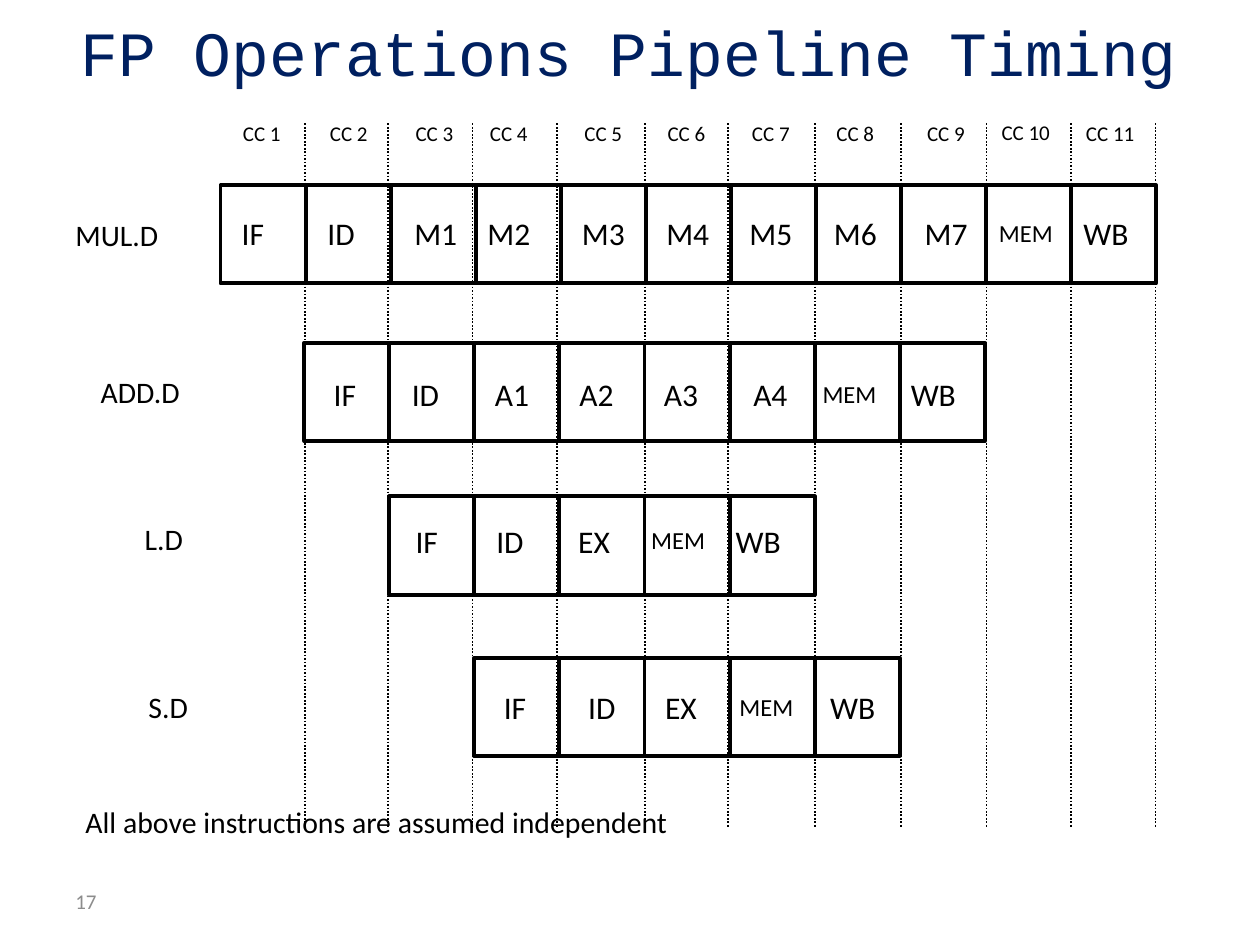
from lxml import etree
from pptx import Presentation
from pptx.dml.color import RGBColor
from pptx.enum import dml, shapes, text
from pptx.oxml import ns
from pptx.util import Inches, Pt

COLORS = {"ink": "000000", "title": "002060", "number": "8C8C8C"}
COLUMN, ROW_HEIGHT = 0.675, 0.78
FIRST_COLUMN = 1.75

deck = Presentation()
deck.slide_width, deck.slide_height = Inches(10), Inches(7.5)
page = deck.slides.add_slide(deck.slide_layouts[6])


def add_text(words, left, top, width, height, size, color="ink", font="Calibri", **frame_format):
    box = page.shapes.add_textbox(*map(Inches, (left, top, width, height)))
    frame_format = {"word_wrap": False, "vertical_anchor": text.MSO_ANCHOR.TOP} | frame_format
    for name, value in frame_format.items():
        setattr(box.text_frame, name, value)
    para = box.text_frame.paragraphs[0]
    span = para.add_run()
    span.text = words
    for name, value in {"size": Pt(size), "name": font}.items():
        setattr(span.font, name, value)
    span.font.color.rgb = RGBColor.from_string(COLORS[color])
    return para


# Page number, title and footnote
middle = {"vertical_anchor": text.MSO_ANCHOR.MIDDLE, "word_wrap": True}
add_text("17", 0.5, 6.95, 2.33, 0.4, 12, "number", **middle)
title = add_text("FP Operations Pipeline Timing", 0.31, 0.17, 9.36, 0.47, 36,
                 "title", "Courier New", **middle)
title.alignment = text.PP_ALIGN.CENTER
add_text("All above instructions are assumed independent", 0.58, 6.33, 5.02, 0.38, 17)

# Dotted clock cycle boundaries
for x in (2.42, 3.08, 3.75, 4.42, 5.12, 5.78, 6.47, 7.15, 7.83, 8.5, 9.17):
    boundary = page.shapes.add_connector(
        shapes.MSO_CONNECTOR.STRAIGHT, Inches(x), Inches(0.98), Inches(x), Inches(6.56))
    boundary.line.color.rgb = RGBColor.from_string(COLORS["ink"])
    boundary.line.width = Pt(1)
    boundary.line.dash_style = dml.MSO_LINE.ROUND_DOT
    etree.SubElement(boundary.element.spPr, ns.qn("a:effectLst"))

# Clock cycle headings
heading_lefts = (1.83, 2.52, 3.2, 3.79, 4.54, 5.2, 5.87, 6.54, 7.26, 7.85, 8.52)
for cycle, left in enumerate(heading_lefts, start=1):
    add_text(f"CC {cycle}", left, 0.9 if cycle == 10 else 0.91,
             0.57 if cycle < 10 else 0.65, 0.3, 12)

# Instructions: name, name left, name width, name top, start cycle, row top, stage top, stages
instructions = [
    ("MUL.D", 0.5, 0.98, 1.67, 0, 1.47, 1.65,
     {"IF": 1.82, "ID": 2.5, "M1": 3.19, "M2": 3.77, "M3": 4.52, "M4": 5.19,
      "M5": 5.85, "M6": 6.52, "M7": 7.24, "MEM": 7.83, "WB": 8.5}),
    ("ADD.D", 0.7, 0.94, 2.92, 1, 2.72, 2.93,
     {"IF": 2.55, "ID": 3.17, "A1": 3.83, "A2": 4.5, "A3": 5.17, "A4": 5.88,
      "MEM": 6.43, "WB": 7.13}),
    ("L.D", 1.05, 0.59, 4.08, 2, 3.94, 4.09,
     {"IF": 3.2, "ID": 3.84, "EX": 4.49, "MEM": 5.07, "WB": 5.74}),
    ("S.D", 1.08, 0.56, 5.42, 3, 5.22, 5.41,
     {"IF": 3.9, "ID": 4.57, "EX": 5.18, "MEM": 5.77, "WB": 6.49}),
]
stage_widths = {"IF": 0.45, "ID": 0.48, "EX": 0.55, "MEM": 0.7, "WB": 0.62,
                "A": 0.51, "M": 0.56}

for name, name_left, name_width, name_top, start, row_top, stage_top, stages in instructions:
    add_text(name, name_left, name_top, name_width, 0.38, 17)
    for cycle, (stage, stage_left) in enumerate(stages.items(), start=start):
        cell = page.shapes.add_shape(
            shapes.MSO_SHAPE.RECTANGLE, Inches(FIRST_COLUMN + cycle * COLUMN - 0.01 * (start > 0)),
            Inches(row_top), Inches(COLUMN), Inches(ROW_HEIGHT))
        cell.fill.background()
        cell.line.color.rgb = RGBColor.from_string(COLORS["ink"])
        cell.line.width = Pt(2.25)
        cell.shadow.inherit = False

        width = stage_widths.get(stage) or stage_widths[stage[0]]
        if stage == "MEM":
            add_text(stage, stage_left, stage_top + 0.03, width, 0.33, 14)
        else:
            add_text(stage, stage_left, stage_top, width, 0.4, 18)

deck.save("out.pptx")
